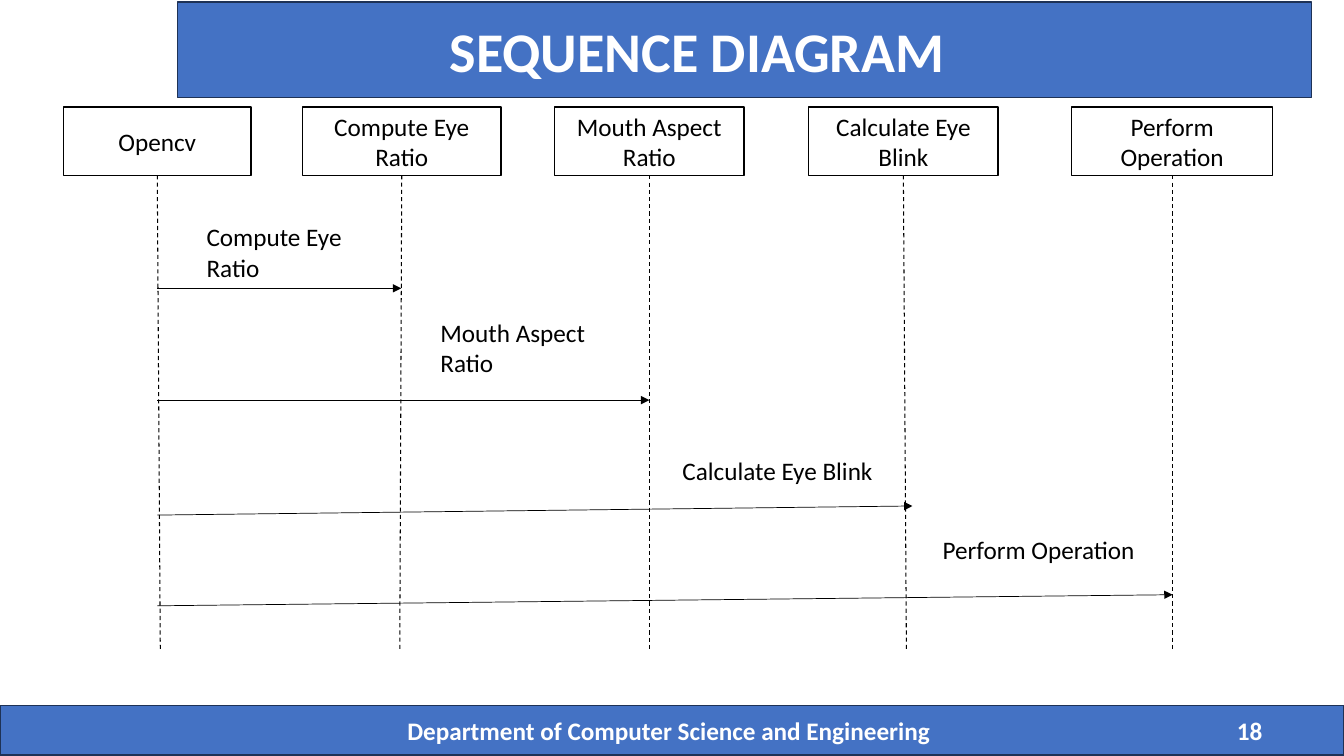
from dataclasses import dataclass

from lxml.etree import SubElement
from pptx import Presentation
from pptx.dml.color import RGBColor
from pptx.enum.dml import MSO_LINE
from pptx.enum.shapes import MSO_CONNECTOR, MSO_SHAPE
from pptx.enum.text import MSO_ANCHOR, MSO_AUTO_SIZE, PP_ALIGN
from pptx.oxml.ns import qn
from pptx.shapes.autoshape import Shape
from pptx.shapes.connector import Connector
from pptx.util import Inches, Pt

BLUE, NAVY, WHITE, BLACK = "4472C4", "1E3256", "FFFFFF", "000000"
BOX_TOP, BOX_H = 1.06, 0.68
LIFELINE_TOP, LIFELINE_END = BOX_TOP + BOX_H, 6.44

Rect = tuple[float, float, float, float]


@dataclass
class Participant:
    name: str
    left: float
    width: float
    lean: float = 0  # sideways drift of the lifeline at its foot

    @property
    def center(self) -> float:
        return self.left + self.width / 2


@dataclass
class Message:
    text: str
    label: Rect
    start_y: float
    end_x: float
    end_y: float


PARTICIPANTS = [
    Participant("Opencv", 0.63, 1.86, 0.03),
    Participant("Compute Eye Ratio", 3, 1.97, -0.02),
    Participant("Mouth Aspect Ratio", 5.5, 1.88),
    Participant("Calculate Eye Blink", 8.02, 1.88, 0.03),
    Participant("Perform Operation", 10.63, 1.99),
]
MESSAGES = [
    Message("Compute Eye Ratio", (1.95, 2.15, 1.75, 0.71), 2.86, 3.98, 2.86),
    Message("Mouth Aspect Ratio", (4.27, 3.1, 1.97, 0.71), 3.97, 6.44, 3.97),
    Message("Calculate Eye Blink", (6.67, 4.47, 2.13, 0.4), 5.11, 9.05, 5.02),
    Message("Perform Operation", (9.25, 5.25, 2.13, 0.4), 6.01, 11.63, 5.9),
]


def rgb(color: str) -> RGBColor:
    return RGBColor.from_string(color)


def apply(target: object, formats: dict[str, object]) -> None:
    for name, value in formats.items():
        setattr(target, name, value)


def write(sp: Shape, text: str, color: str = BLACK, size: float = 18,
          bold: bool = False, align: PP_ALIGN = PP_ALIGN.LEFT,
          **frame: object) -> None:
    """Set the text of a shape; extra keywords go to its text frame."""
    tf = sp.text_frame
    apply(tf, {"word_wrap": True, **frame})
    p = tf.paragraphs[0]
    p.alignment = align
    r = p.add_run()
    r.text = text
    apply(r.font, {"name": "Calibri", "size": Pt(size), "bold": bold})
    r.font.color.rgb = rgb(color)


def paint(sp: Shape, fill: str, line: str) -> None:
    sp.shadow.inherit = False
    sp.fill.solid()
    sp.fill.fore_color.rgb = rgb(fill)
    sp.line.color.rgb = rgb(line)
    sp.line.width = Pt(1)


def add_box(s, rect: Rect, fill: str, line: str) -> Shape:
    sp = s.shapes.add_shape(MSO_SHAPE.RECTANGLE, *map(Inches, rect))
    paint(sp, fill, line)
    return sp


def add_label(s, rect: Rect, text: str, **formats: object) -> None:
    write(s.shapes.add_textbox(*map(Inches, rect)), text,
          auto_size=MSO_AUTO_SIZE.SHAPE_TO_FIT_TEXT, **formats)


def add_line(s, ends: Rect, width: float) -> Connector:
    line = s.shapes.add_connector(MSO_CONNECTOR.STRAIGHT, *map(Inches, ends))
    line.line.color.rgb = rgb(BLACK)
    line.line.width = Pt(width)
    SubElement(line._element.spPr, qn("a:effectLst"))
    return line


def add_lifeline(s, who: Participant) -> None:
    line = add_line(s, (who.center, LIFELINE_TOP,
                        who.center + who.lean, LIFELINE_END), 0.75)
    line.line.dash_style = MSO_LINE.DASH


def add_message(s, msg: Message) -> None:
    arrow = add_line(s, (PARTICIPANTS[0].center, msg.start_y,
                         msg.end_x, msg.end_y), 0.5)
    SubElement(arrow.line._get_or_add_ln(), qn("a:tailEnd"), type="triangle")
    add_label(s, msg.label, msg.text)


def add_title(s) -> None:
    title = s.shapes.title
    apply(title, {"left": Inches(1.76), "top": Inches(0.02),
                  "width": Inches(11.25), "height": Inches(0.95)})
    paint(title, BLUE, NAVY)
    write(title, "SEQUENCE DIAGRAM", WHITE, 40, True,
          margin_left=Inches(2.7), auto_size=MSO_AUTO_SIZE.NONE,
          vertical_anchor=MSO_ANCHOR.MIDDLE)


def add_footer(s) -> None:
    bar = add_box(s, (0, 7, 13.33, 0.49), BLUE, NAVY)
    write(bar, "Department of Computer Science and Engineering", WHITE,
          bold=True, margin_left=Inches(4.04),
          vertical_anchor=MSO_ANCHOR.MIDDLE)
    add_label(s, (12.17, 7.05, 0.6, 0.4), "18", color=WHITE, bold=True)


def main() -> None:
    prs = Presentation()
    prs.slide_width, prs.slide_height = Inches(13.33), Inches(7.5)
    s = prs.slides.add_slide(prs.slide_layouts.get_by_name("Title Only"))
    add_title(s)
    add_footer(s)
    for who in PARTICIPANTS:
        box = add_box(s, (who.left, BOX_TOP, who.width, BOX_H), WHITE, BLACK)
        write(box, who.name, align=PP_ALIGN.CENTER,
              vertical_anchor=MSO_ANCHOR.MIDDLE)
        add_lifeline(s, who)
    for msg in MESSAGES:
        add_message(s, msg)
    prs.save("out.pptx")


if __name__ == "__main__":
    main()
